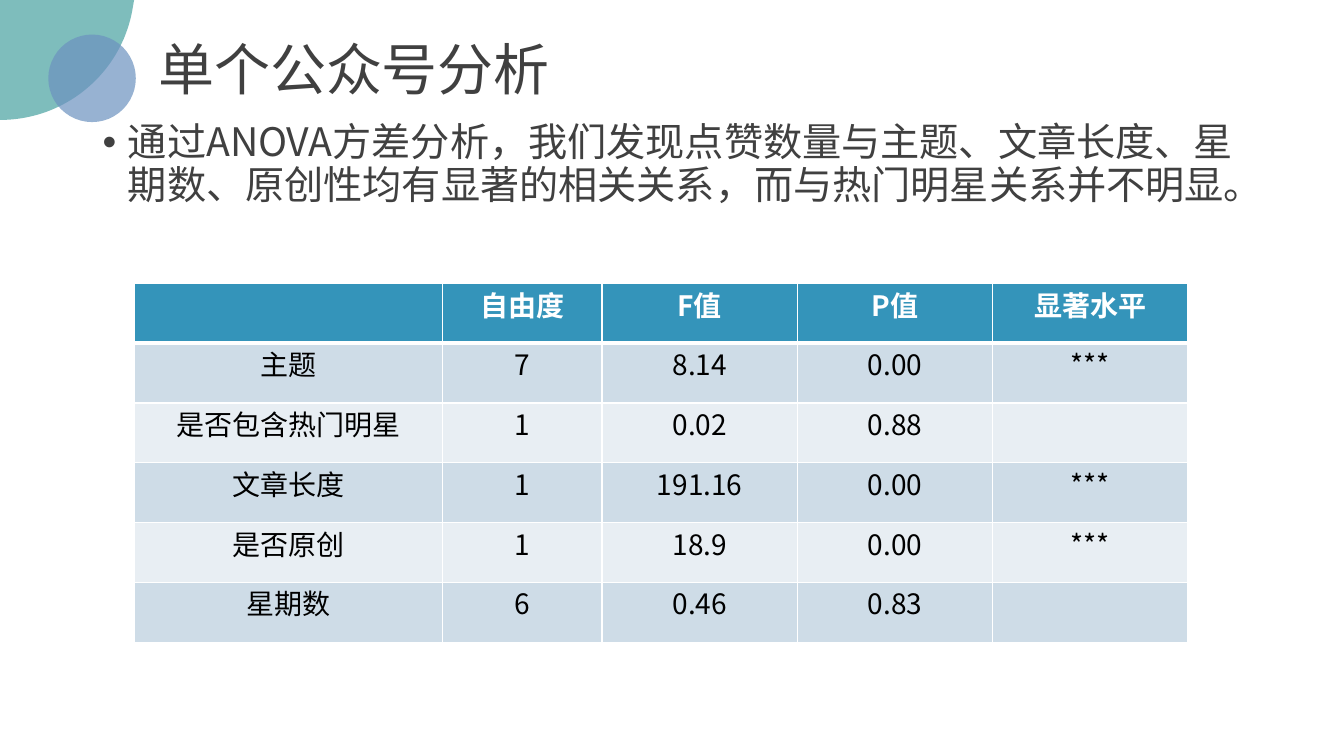
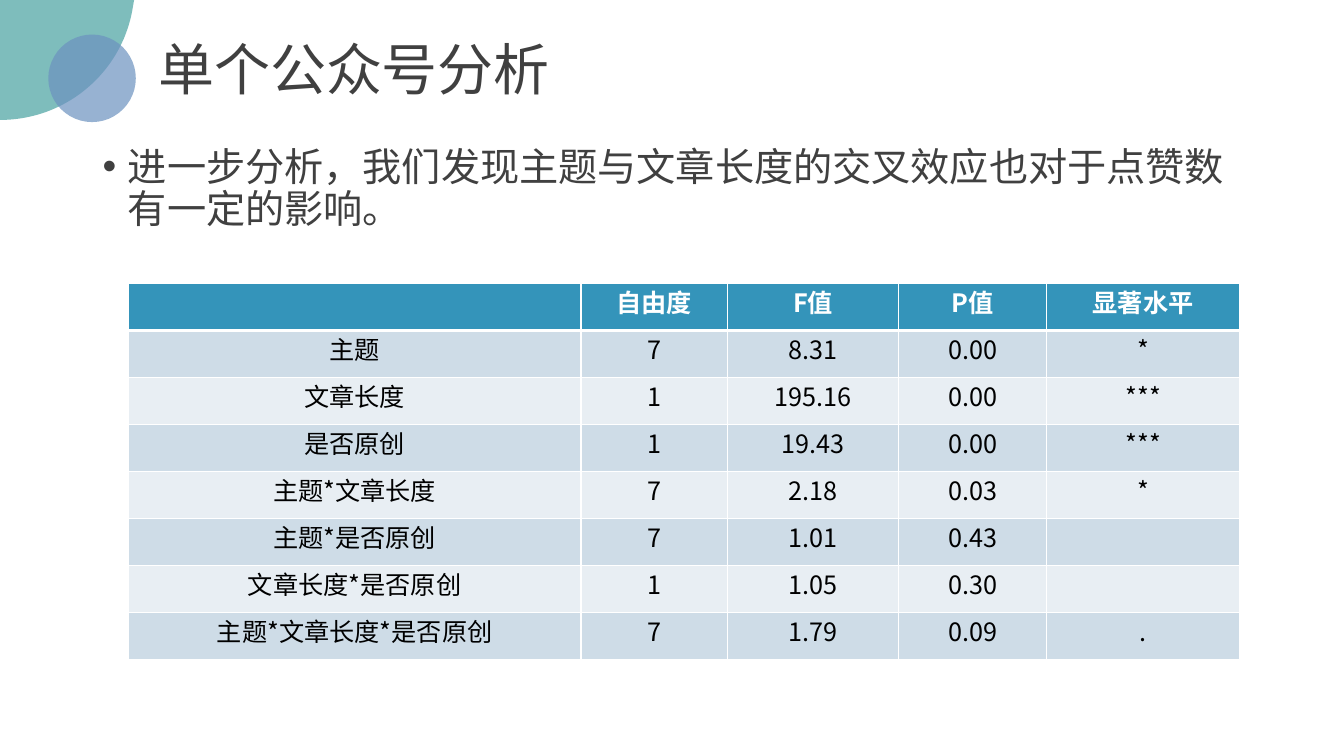
import pptx
import pptx.dml.color
import pptx.enum.shapes
import pptx.enum.text
import pptx.oxml
import pptx.oxml.ns
import pptx.util
import lxml.etree

Pt = pptx.util.Pt
qn = pptx.oxml.ns.qn
ALIGN = pptx.enum.text.PP_ALIGN
ANCHOR = pptx.enum.text.MSO_ANCHOR

FONT = "Noto Sans CJK SC"
COLORS = {
    "text": "404040", "cell_text": "000000", "white": "FFFFFF",
    "header": "3494BA", "odd_row": "CEDCE7", "even_row": "E8EEF3",
    "corner": "48A2A0", "circle": "6C92C0",
}
TITLE = "单个公众号分析"
HEADINGS = ["", "自由度", "F值", "P值", "显著水平"]
BODY_BOTTOM = 486.7
TABLE_TOP = 202.5

PAGES = [
    {
        "body": "通过ANOVA方差分析，我们发现点赞数量与主题、文章长度、星期数、"
                "原创性均有显著的相关关系，而与热门明星关系并不明显。",
        "body_top": 84.2, "table_left": 96, "row_height": 42.7, "size": 20,
        "widths": [220.3, 113.8, 139.5, 139.5, 139.5],
        "rows": [
            ["主题", "7", "8.14", "0.00", "***"],
            ["是否包含热门明星", "1", "0.02", "0.88", ""],
            ["文章长度", "1", "191.16", "0.00", "***"],
            ["是否原创", "1", "18.9", "0.00", "***"],
            ["星期数", "6", "0.46", "0.83", ""],
        ],
    },
    {
        "body": "进一步分析，我们发现主题与文章长度的交叉效应也对于点赞数有一定的影响。",
        "body_top": 101.5, "table_left": 91.7, "row_height": 33.6, "size": 18,
        "widths": [323.3, 104.4, 122.6, 105.8, 137.6],
        "rows": [
            ["主题", "7", "8.31", "0.00", "*"],
            ["文章长度", "1", "195.16", "0.00", "***"],
            ["是否原创", "1", "19.43", "0.00", "***"],
            ["主题*文章长度", "7", "2.18", "0.03", "*"],
            ["主题*是否原创", "7", "1.01", "0.43", ""],
            ["文章长度*是否原创", "1", "1.05", "0.30", ""],
            ["主题*文章长度*是否原创", "7", "1.79", "0.09", "."],
        ],
    },
]


def write_text(frame, text, size, color="text", bold=False, align=ALIGN.LEFT,
               spacing=None, bullet=None):
    para = frame.paragraphs[0]
    para.alignment = align
    para.space_before = Pt(0)
    if spacing:
        para.line_spacing = spacing
    if bullet:
        properties = para._p.get_or_add_pPr()
        properties.set("marL", str(Pt(18)))
        properties.set("indent", str(-Pt(18)))
        lxml.etree.SubElement(properties, qn("a:buChar")).set("char", bullet)
    span = para.add_run()
    span.text = text
    span.font.size = Pt(size)
    span.font.bold = bold
    span.font.color.rgb = pptx.dml.color.RGBColor.from_string(COLORS[color])
    span.font.name = FONT
    east_asian = lxml.etree.SubElement(span.font._element, qn("a:ea"))
    east_asian.set("typeface", FONT)


def place(shape, left, top, width, height):
    shape.left, shape.top = Pt(left), Pt(top)
    shape.width, shape.height = Pt(width), Pt(height)


deck = pptx.Presentation()
deck.slide_width, deck.slide_height = Pt(960), Pt(540)

# Shared layout: title position, no footer fields
layout = deck.slide_layouts[1]
for holder in list(layout.placeholders):
    if holder.placeholder_format.idx >= 10:
        holder.element.getparent().remove(holder.element)
place(layout.placeholders[0], 105.8, 7.2, 788.4, 88.6)
place(layout.placeholders[1], 66.2, 84.2, 828, 402.5)

for number, content in enumerate(PAGES):
    page = deck.slides.add_slide(layout)

    # Corner decoration, drawn once and moved to the layout
    if number == 0:
        curve = [(94.3, 8.6), (85.7, 52.6), (46.8, 85.7), (0, 85.7)]
        outline = [(95.8, 0)]
        steps = 40
        for step in range(steps + 1):
            t = step / steps
            weights = [(1 - t) ** 3, 3 * t * (1 - t) ** 2, 3 * t ** 2 * (1 - t), t ** 3]
            outline.append([sum(w * point[axis] for w, point in zip(weights, curve))
                            for axis in (0, 1)])
        builder = page.shapes.build_freeform(0, 0)
        builder.add_line_segments([(Pt(x), Pt(y)) for x, y in outline], close=True)
        corner = builder.convert_to_shape()
        circle = page.shapes.add_shape(pptx.enum.shapes.MSO_SHAPE.OVAL,
                                       Pt(34.5), Pt(24.7), Pt(62.5), Pt(62.5))
        for position, (shape, color) in enumerate([(corner, "corner"), (circle, "circle")]):
            shape.shadow.inherit = False
            shape.line.fill.background()
            shape.fill.solid()
            shape.fill.fore_color.rgb = pptx.dml.color.RGBColor.from_string(COLORS[color])
            tint = shape.element.spPr.find(qn("a:solidFill")).find(qn("a:srgbClr"))
            lxml.etree.SubElement(tint, qn("a:alpha")).set("val", "70000")
            layout.shapes.element.insert(2 + position, shape.element)

    # Title and bullet
    title = page.shapes.title.text_frame
    title.vertical_anchor = ANCHOR.MIDDLE
    write_text(title, TITLE, 40, spacing=0.9)
    body = page.placeholders[1]
    place(body, 66.2, content["body_top"], 828, BODY_BOTTOM - content["body_top"])
    body.text_frame.auto_size = pptx.enum.text.MSO_AUTO_SIZE.NONE
    write_text(body.text_frame, content["body"], 28, spacing=0.9, bullet="•")

    # Table of test results
    rows = [HEADINGS] + content["rows"]
    widths = content["widths"]
    table = page.shapes.add_table(
        len(rows), len(widths), Pt(content["table_left"]), Pt(TABLE_TOP),
        Pt(sum(widths)), Pt(content["row_height"] * len(rows))).table
    for column, width in zip(table.columns, widths):
        column.width = Pt(width)
    for r, row in enumerate(rows):
        table.rows[r].height = Pt(content["row_height"])
        is_header = r == 0
        fill = "header" if is_header else "odd_row" if r % 2 else "even_row"
        borders = {"L": 1, "R": 1, "T": 3 if r == 1 else 1, "B": 3 if is_header else 1}
        for c, text in enumerate(row):
            cell = table.cell(r, c)
            cell.margin_left = cell.margin_right = cell.margin_top = cell.margin_bottom = 0
            properties = cell._tc.get_or_add_tcPr()
            for side, weight in borders.items():
                line = lxml.etree.SubElement(properties, qn("a:ln" + side))
                line.set("w", str(Pt(weight)))
                paint = lxml.etree.SubElement(line, qn("a:solidFill"))
                lxml.etree.SubElement(paint, qn("a:srgbClr")).set("val", COLORS["white"])
            cell.fill.solid()
            cell.fill.fore_color.rgb = pptx.dml.color.RGBColor.from_string(COLORS[fill])
            if text:
                write_text(cell.text_frame, text, content["size"], bold=is_header,
                           color="white" if is_header else "cell_text", align=ALIGN.CENTER)

deck.save("out.pptx")
